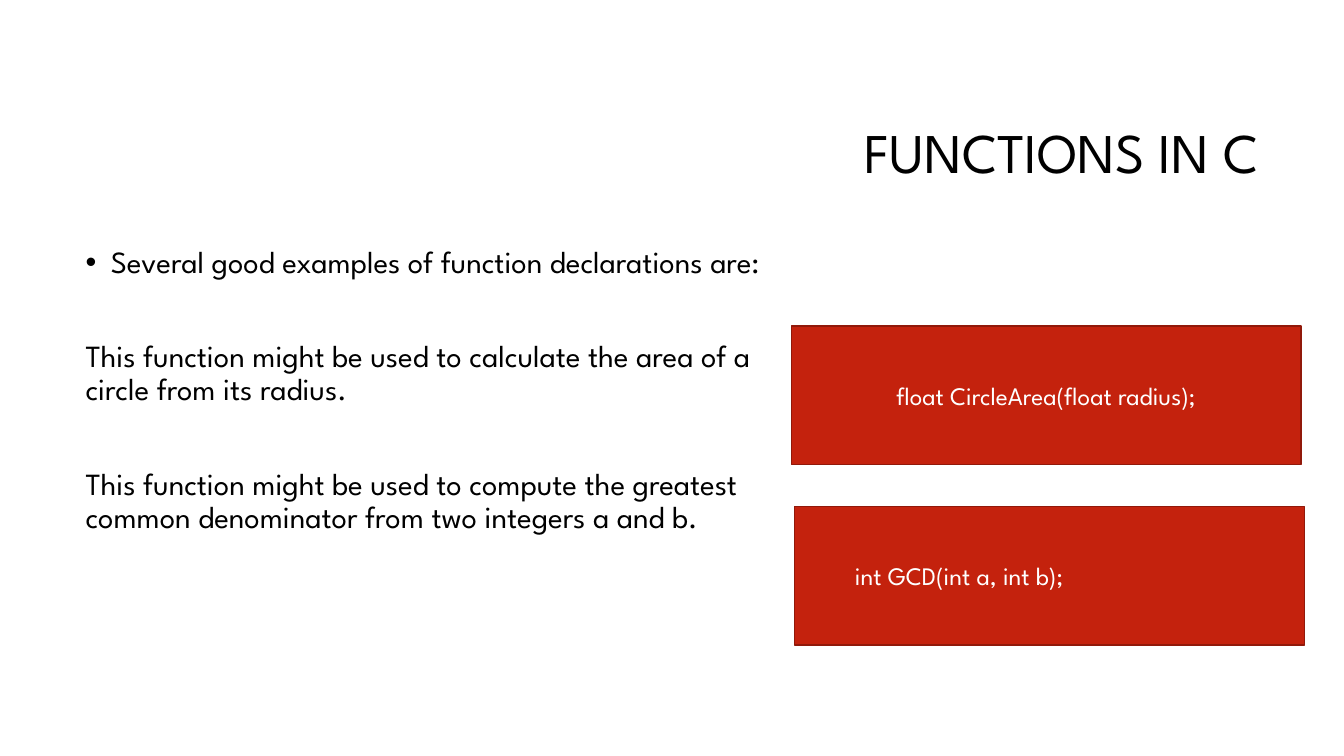
from dataclasses import dataclass
from typing import Any

from lxml import etree
from pptx import Presentation
from pptx import util as u
from pptx.dml.color import RGBColor
from pptx.enum import shapes, text
from pptx.oxml.ns import qn

COLS, ROWS = 160, 90
WIDE, HIGH = u.Inches(13.33), u.Inches(7.5)


@dataclass(frozen=True)
class Theme:
    font: str = "League Spartan"
    ink: str = "000000"
    pale: str = "FFFFFF"
    red: str = "C4220D"
    edge: str = "91190A"
    title: int = 40
    body: int = 22
    code: int = 18
    tight: float = 0.9
    gap: float = 43.5


@dataclass(frozen=True)
class Area:
    """A place on the grid, in columns and rows."""
    col: float
    row: float
    cols: float
    rows: float

    def box(self) -> tuple[int, int, int, int]:
        return (int(self.col * WIDE / COLS), int(self.row * HIGH / ROWS),
                int(self.cols * WIDE / COLS), int(self.rows * HIGH / ROWS))


@dataclass(frozen=True)
class Code:
    line: str
    area: Area
    align: text.PP_ALIGN
    indent: float = 0


THEME = Theme()
TITLE = Area(38, 10, 113, 17)
BODY = Area(9, 28.8, 85.2, 52.8)
POINTS = (
    "Several good examples of function declarations are:",
    "This function might be used to calculate the area of a circle from its radius.",
    "This function might be used to compute the greatest common denominator "
    "from two integers a and b.",
)
CODES = (
    Code("float CircleArea(float radius);", Area(94.2, 38.8, 60.7, 16.5),
         text.PP_ALIGN.CENTER),
    Code("int GCD(int a, int b);", Area(94.6, 60.3, 60.7, 16.5),
         text.PP_ALIGN.LEFT, 0.5),
)


def style(para: Any, size: int, color: str) -> None:
    for run in para.runs:
        run.font.name = THEME.font
        run.font.size = u.Pt(size)
        run.font.color.rgb = RGBColor.from_string(color)


def indent(para: Any, left: float, first: float = 0) -> None:
    props = para._p.get_or_add_pPr()
    props.set("marL", str(u.Inches(left)))
    props.set("indent", str(u.Inches(first)))


def bullet(para: Any) -> None:
    indent(para, 0.25, -0.25)
    props = para._p.get_or_add_pPr()
    etree.SubElement(props, qn("a:buFont")).set("typeface", "Arial")
    etree.SubElement(props, qn("a:buChar")).set("char", "•")


def frame(slide: Any, area: Area) -> Any:
    """Add a wrapping text box and return its text frame."""
    result = slide.shapes.add_textbox(*area.box()).text_frame
    result.word_wrap = True
    return result


def draw_title(slide: Any) -> None:
    title = frame(slide, TITLE)
    title.vertical_anchor = text.MSO_ANCHOR.MIDDLE
    title.text = "FUNCTIONS IN C"
    para = title.paragraphs[0]
    para.alignment = text.PP_ALIGN.RIGHT
    para.line_spacing = THEME.tight
    style(para, THEME.title, THEME.ink)


def draw_body(slide: Any) -> None:
    body = frame(slide, BODY)
    body.text = "\n".join(POINTS)
    bullet(body.paragraphs[0])
    for rank, para in enumerate(body.paragraphs):
        para.line_spacing = THEME.tight
        if rank:
            para.space_before = u.Pt(THEME.gap)
        style(para, THEME.body, THEME.ink)


def draw_code(slide: Any, code: Code) -> None:
    panel = slide.shapes.add_shape(shapes.MSO_SHAPE.RECTANGLE, *code.area.box())
    panel.shadow.inherit = False
    panel.fill.solid()
    panel.fill.fore_color.rgb = RGBColor.from_string(THEME.red)
    panel.line.color.rgb = RGBColor.from_string(THEME.edge)
    panel.line.width = u.Pt(1)
    panel.text_frame.text = code.line
    panel.text_frame.word_wrap = True
    panel.text_frame.vertical_anchor = text.MSO_ANCHOR.MIDDLE
    para = panel.text_frame.paragraphs[0]
    para.alignment = code.align
    indent(para, code.indent)
    style(para, THEME.code, THEME.pale)


def main() -> None:
    deck = Presentation()
    deck.slide_width, deck.slide_height = WIDE, HIGH
    slide = deck.slides.add_slide(deck.slide_layouts[6])
    draw_title(slide)
    draw_body(slide)
    for code in CODES:
        draw_code(slide, code)
    deck.save("out.pptx")


if __name__ == "__main__":
    main()
